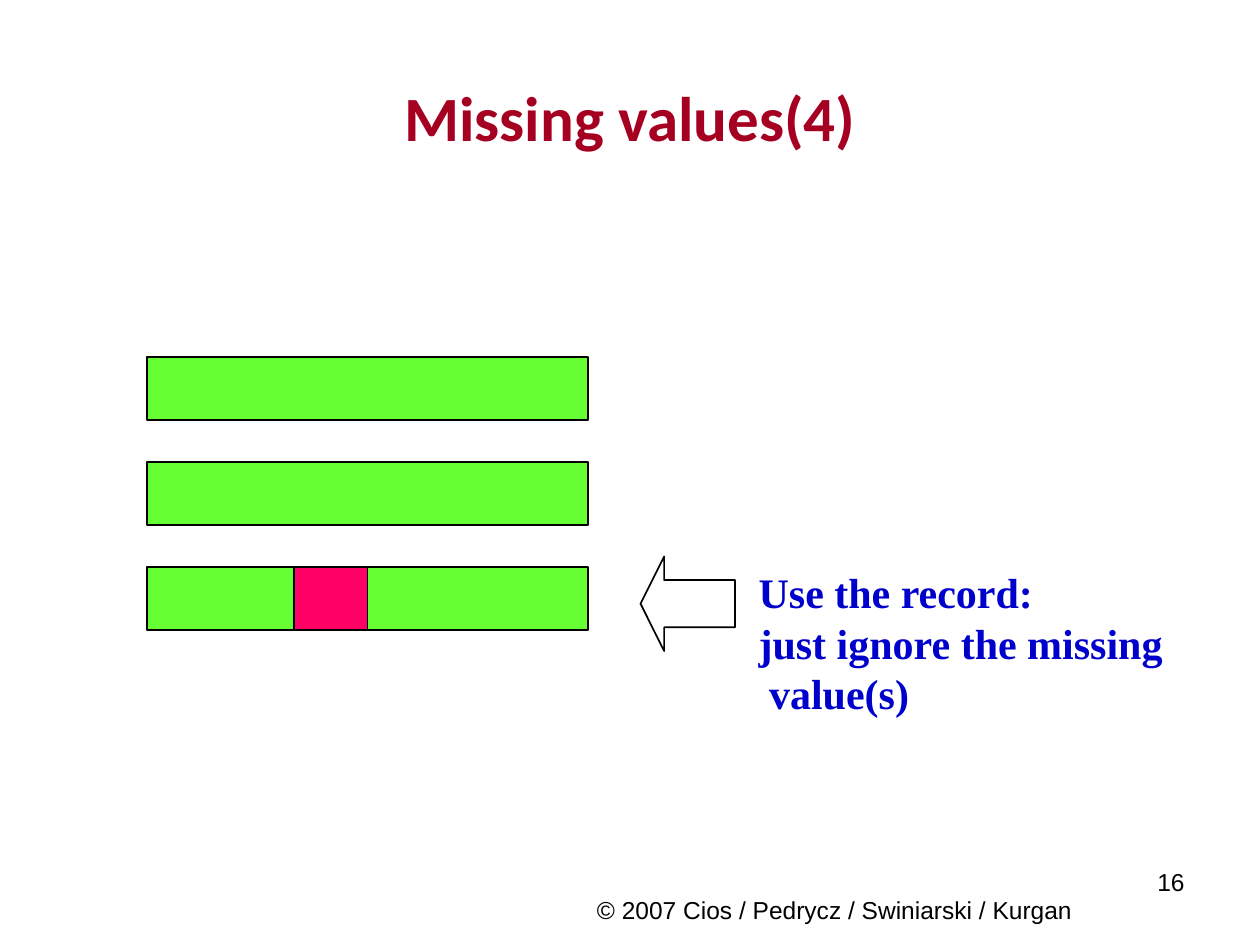
import dataclasses

import pptx
import pptx.dml.color
import pptx.enum.shapes
import pptx.enum.text
import pptx.util

Pt = pptx.util.Pt
Align = pptx.enum.text.PP_ALIGN
Anchor = pptx.enum.text.MSO_ANCHOR
Preset = pptx.enum.shapes.MSO_SHAPE


@dataclasses.dataclass(frozen=True)
class TextStyle:
    font: str
    size: float
    color: str
    bold: bool = False


@dataclasses.dataclass(frozen=True)
class Theme:
    title: TextStyle = TextStyle("Calibri", 36, "A50021", True)
    note: TextStyle = TextStyle("Times New Roman", 24, "0000CC", True)
    footer: TextStyle = TextStyle("Arial", 14, "000000")
    record: str = "66FF33"
    missing: str = "FF0066"
    outline: str = "000000"
    outline_width: float = 1


@dataclasses.dataclass(frozen=True)
class Area:
    left: float
    top: float
    width: float
    height: float


THEME = Theme()
RECORD = Area(84, 204, 252, 36)
RECORD_COUNT = 3
RECORD_STEP = 60
LAST_RECORD_TOP = RECORD.top + (RECORD_COUNT - 1) * RECORD_STEP
NOTE_LINES = ["Use the record:", "just ignore the missing", "value(s)"]


def rgb(color: str) -> pptx.dml.color.RGBColor:
    return pptx.dml.color.RGBColor.from_string(color)


def place(shape, area: Area) -> None:
    for name, value in dataclasses.asdict(area).items():
        setattr(shape, name, Pt(value))


def write(shape, lines: list[str], style: TextStyle, align, anchor=Anchor.TOP,
          margins: tuple[float, float] = (7.2, 3.6)) -> None:
    """Fill a shape with one paragraph per line; margins are (side, top and bottom)."""
    frame = shape.text_frame
    side, end = map(Pt, margins)
    frame_format = {
        "word_wrap": True,
        "auto_size": pptx.enum.text.MSO_AUTO_SIZE.NONE,
        "vertical_anchor": anchor,
        "margin_left": side,
        "margin_right": side,
        "margin_top": end,
        "margin_bottom": end,
    }
    for name, value in frame_format.items():
        setattr(frame, name, value)

    font_format = {"name": style.font, "size": Pt(style.size), "bold": style.bold}
    frame.text = "\n".join(lines)
    for para in frame.paragraphs:
        para.alignment = align
        for span in para.runs:
            for name, value in font_format.items():
                setattr(span.font, name, value)
            span.font.color.rgb = rgb(style.color)


def add_text(page, area: Area, lines: list[str], style: TextStyle, align, **options):
    box = page.shapes.add_textbox(*map(Pt, dataclasses.astuple(area)))
    write(box, lines, style, align, **options)
    return box


def add_outlined(page, preset, area: Area, fill: str | None = None):
    shape = page.shapes.add_shape(preset, *map(Pt, dataclasses.astuple(area)))
    shape.shadow.inherit = False
    if fill:
        shape.fill.solid()
        shape.fill.fore_color.rgb = rgb(fill)
    else:
        shape.fill.background()
    shape.line.color.rgb = rgb(THEME.outline)
    shape.line.width = Pt(THEME.outline_width)
    return shape


def main() -> None:
    deck = pptx.Presentation()
    deck.slide_width, deck.slide_height = Pt(720), Pt(540)
    page = deck.slides.add_slide(deck.slide_layouts.get_by_name("Title Only"))

    title = page.shapes.title
    place(title, Area(36, 21.6, 648, 90))
    write(title, ["Missing values(4)"], THEME.title, Align.CENTER, Anchor.MIDDLE)

    add_text(page, Area(246, 508, 462, 24),
             ["© 2007 Cios / Pedrycz / Swiniarski / Kurgan"], THEME.footer, Align.CENTER)
    add_text(page, Area(486, 492, 198, 37), ["16"], THEME.footer, Align.RIGHT)

    for index in range(RECORD_COUNT):
        area = dataclasses.replace(RECORD, top=RECORD.top + index * RECORD_STEP)
        add_outlined(page, Preset.RECTANGLE, area, THEME.record)
    missing = Area(RECORD.left + RECORD.width / 3, LAST_RECORD_TOP,
                   RECORD.width / 6, RECORD.height)
    add_outlined(page, Preset.RECTANGLE, missing, THEME.missing)

    arrow = add_outlined(page, Preset.LEFT_ARROW, Area(366, 318, 54, 54))
    arrow.adjustments[0], arrow.adjustments[1] = 0.5, 0.25

    note = add_text(page, Area(433.5, LAST_RECORD_TOP, 280, 86.4), NOTE_LINES,
                    THEME.note, Align.LEFT, margins=(0, 0))
    # The last line is set in slightly from the others.
    last_line = note.text_frame.paragraphs[-1]
    last_line._p.get_or_add_pPr().set("marL", str(Pt(6)))

    deck.save("out.pptx")


if __name__ == "__main__":
    main()
